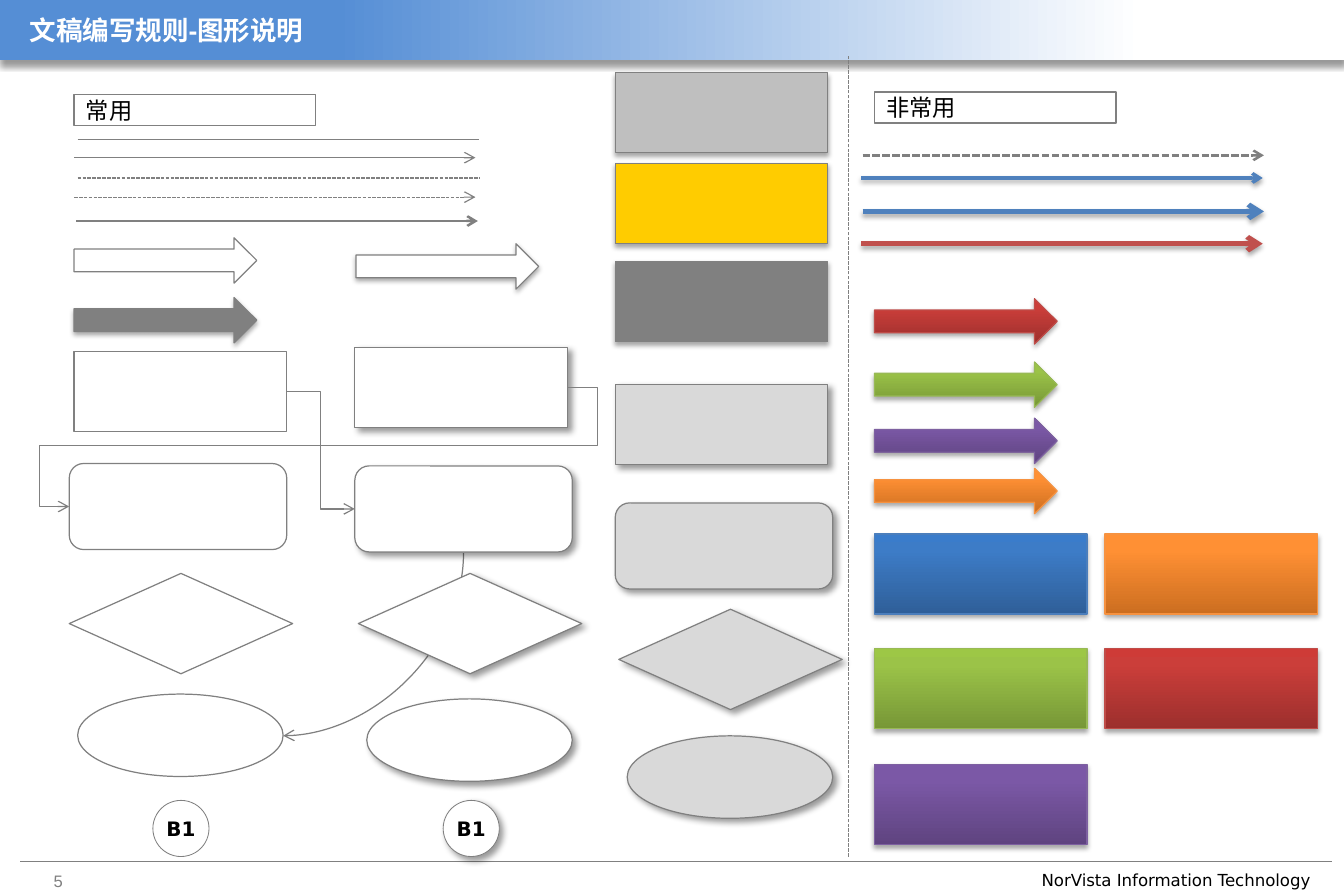
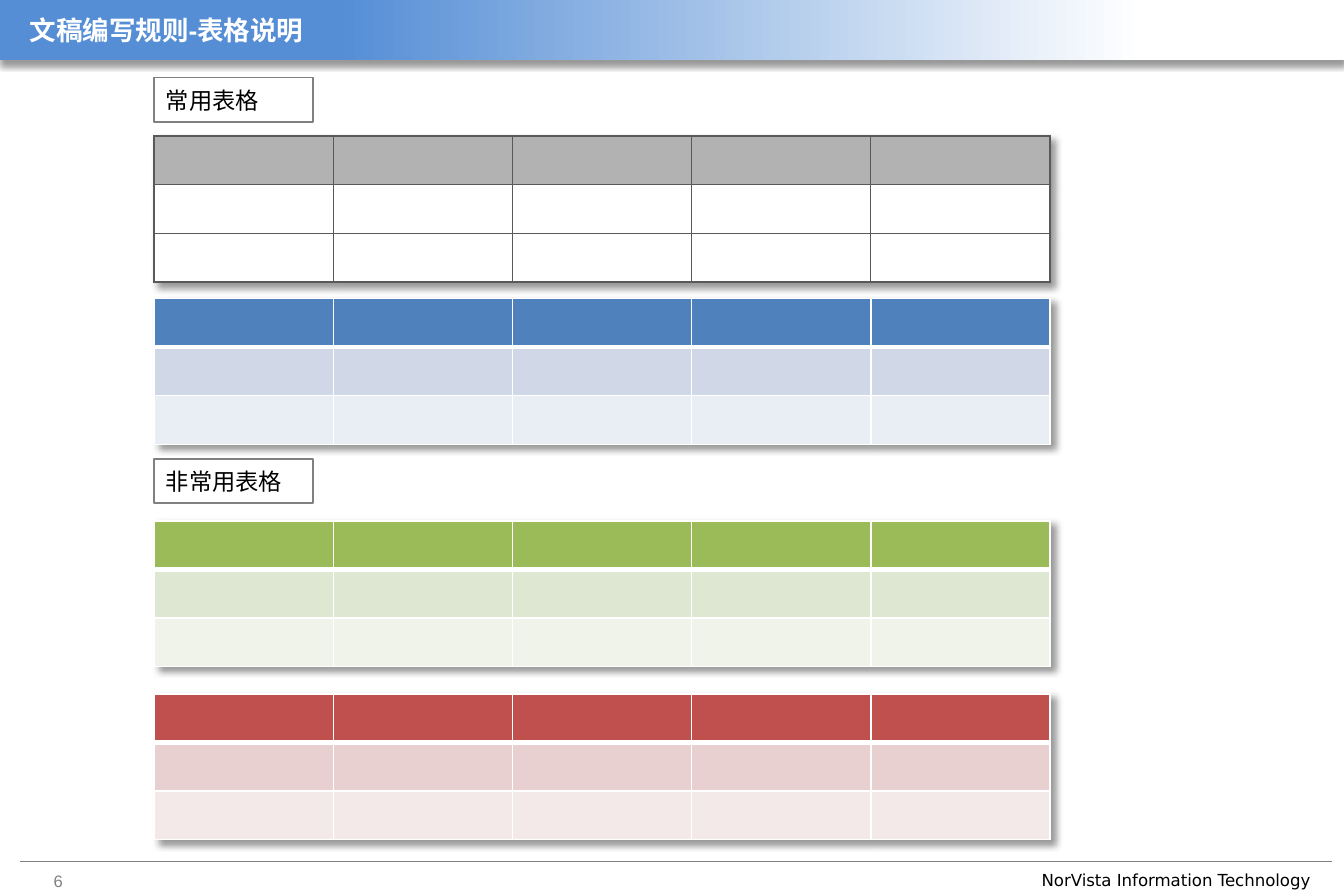
from lxml.etree import SubElement
from pptx import Presentation
from pptx.dml.color import RGBColor
from pptx.enum.shapes import MSO_CONNECTOR as Wire, MSO_SHAPE as Form
from pptx.enum.text import MSO_ANCHOR as Anchor, PP_ALIGN as Align
from pptx.oxml.ns import qn
from pptx.util import Inches, Pt

WIDE, HIGH = 11.25, 7.5
SANS, ARIAL = "DejaVu Sans", "Arial"
HUE = {"white": "FFFFFF", "black": "000000", "gray": "808080", "mid": "BFBFBF",
       "pale": "D9D9D9", "gold": "FFCC00", "blue": "4F81BD", "red": "C0504D",
       "green": "9BBB59", "head": "B2B2B2", "grid": "595959", "band": "558ED5"}
# dark, main and light gradient stops, then the outline
BLEND = {"red": ("9C2F2D", "CB3E3A", "CE3B37", "BF4C48"),
         "green": ("779737", "9BC348", "9DC746", "98B955"),
         "violet": ("5F4480", "7B58A6", "7C57A8", "7D60A0"),
         "orange": ("CC6E20", "FF9034", "FF9136", "F69240"),
         "blue": ("2F5F99", "3D7CC7", "3A7CCB", "4B7EBC")}
# opacity %, blur pt, distance pt, angle
SOFT, THIN = (35, 3.1, 1.8, 90), (38, 3.1, 1.6, 90)
DROP, UNDER = (40, 4, 3, 45), (40, 4, 3, 90)

FOOT = "NorVista Information Technology"
FORMS = {"box": (Form.RECTANGLE, 1.78, 0.67),
         "round": (Form.ROUNDED_RECTANGLE, 1.82, 0.72),
         "rhomb": (Form.DIAMOND, 1.87, 0.84),
         "oval": (Form.OVAL, 1.72, 0.69),
         "arrow": (Form.RIGHT_ARROW, 1.53, 0.38),
         "dot": (Form.OVAL, 0.47, 0.47)}

# left, top, colour, points, dashed, arrowhead, shadow
RULES = [(0.65, 1.17, "gray", 0.75, False, False, None),
         (0.62, 1.32, "gray", 0.75, False, True, None),
         (0.65, 1.49, "gray", 0.75, True, False, None),
         (0.62, 1.65, "gray", 0.75, True, True, None),
         (0.64, 1.85, "gray", 1.5, False, True, None),
         (7.22, 1.3, "gray", 1.5, True, True, None),
         (7.21, 1.49, "blue", 2, False, True, THIN),
         (7.22, 1.77, "blue", 3, False, True, SOFT),
         (7.21, 2.04, "red", 3, False, True, SOFT)]
RULE_W = 3.36
# form, left, top
PLAIN = [("arrow", 0.62, 1.99), ("box", 0.62, 2.94), ("round", 0.58, 3.88),
         ("rhomb", 0.58, 4.8), ("oval", 0.65, 5.81)]
RAISED = [("box", 2.97, 2.91), ("round", 2.97, 3.9), ("rhomb", 3, 4.8),
          ("oval", 3.07, 5.85)]
SHADED = [("box", 5.15, 3.22), ("round", 5.15, 4.21), ("rhomb", 5.18, 5.1),
          ("oval", 5.25, 6.16)]
# form, left, top, colour
SOLID = [("arrow", 2.98, 2.04, "white"), ("arrow", 0.62, 2.49, "gray"),
         ("box", 5.15, 0.61, "mid"), ("box", 5.15, 1.37, "gold"),
         ("box", 5.15, 2.19, "gray")]
GLOSS = [("arrow", 7.32, 2.5, "red"), ("arrow", 7.32, 3.03, "green"),
         ("arrow", 7.32, 3.5, "violet"), ("arrow", 7.32, 3.92, "orange"),
         ("box", 7.32, 4.47, "blue"), ("box", 9.25, 4.47, "orange"),
         ("box", 7.32, 5.43, "green"), ("box", 9.25, 5.43, "red"),
         ("box", 7.32, 6.4, "violet")]

COLS, ROWS = 5, 3
LEFT, TAB_W, TAB_H = 1.29, 7.5, 1.22
# top, row fills, border colour, weights of row edges, weights of column edges
FRAME = ((1.5, 0.75, 0.75, 1.5), (1.5, 0.75, 0.75, 0.75, 0.75, 1.5))
BANDED = ((1, 3, 1, 1), (1,) * (COLS + 1))
TABLES = [(1.14, (HUE["head"], HUE["white"], HUE["white"]), "grid", *FRAME),
          (2.5, (HUE["blue"], "D0D8E8", "E9EDF4"), "white", *BANDED),
          (4.36, (HUE["green"], "DEE7D1", "EFF3EA"), "white", *BANDED),
          (5.81, (HUE["red"], "E8D0D0", "F4E9E9"), "white", *BANDED)]


def rgb(code):
    return RGBColor.from_string(code)


def add(node, tag, **attrs):
    return SubElement(node, qn("a:" + tag), {k: str(v) for k, v in attrs.items()})


def shade(node, shadow):
    """Append an effect list, empty when there is no shadow."""
    fx = add(node, "effectLst")
    if shadow:
        alpha, blur, dist, angle = shadow
        drop = add(fx, "outerShdw", blurRad=Pt(blur), dist=Pt(dist),
                   dir=angle * 60000, algn="t", rotWithShape=0)
        add(add(drop, "srgbClr", val=HUE["black"]), "alpha", val=alpha * 1000)
    return fx


def blend(shape, stops, angle):
    props = shape._element.spPr
    grad = add(props, "gradFill", rotWithShape=1)
    stack = add(grad, "gsLst")
    for pos, code in stops:
        add(add(stack, "gs", pos=pos * 1000), "srgbClr", val=code)
    add(grad, "lin", ang=angle * 60000, scaled=0)
    props.find(qn("a:prstGeom")).addnext(grad)


def draw(slide, form, area, fill=None, edge=None, points=0.75, shadow=None):
    shape = slide.shapes.add_shape(form, *map(Inches, area))
    if fill:
        shape.fill.solid()
        shape.fill.fore_color.rgb = rgb(fill)
    if edge:
        shape.line.color.rgb = rgb(edge)
        shape.line.width = Pt(points)
    else:
        shape.line.fill.background()
    shade(shape._element.spPr, shadow)
    return shape


def place(slide, name, x, y, **look):
    form, w, h = FORMS[name]
    return draw(slide, form, (x, y, w, h), **look)


def write(shape, text, size, font, color="black", bold=False, align=Align.LEFT):
    para = shape.text_frame.paragraphs[0]
    para.text, para.alignment = text, align
    face = para.font
    face.size, face.name, face.bold = Pt(size), font, bold
    face.color.rgb = rgb(HUE[color])
    return para


def note(slide, area, *text):
    box = slide.shapes.add_textbox(*map(Inches, area))
    box.text_frame.word_wrap = False
    write(box, *text)


def wire(slide, ends, color="gray", points=0.75, dash=False, tip=False,
         shadow=None, kind=Wire.STRAIGHT):
    link = slide.shapes.add_connector(kind, *map(Inches, ends))
    link.line.color.rgb = rgb(HUE[color])
    link.line.width = Pt(points)
    props = link._element.spPr
    line = props.find(qn("a:ln"))
    if dash:
        add(line, "prstDash", val="sysDash")
    if tip:
        add(line, "tailEnd", type="arrow")
    shade(props, shadow)
    return link


def bend(link, preset, *shares):
    """Give a connector its preset route and the shares where it turns."""
    geom = link._element.spPr.find(qn("a:prstGeom"))
    geom.set("prst", preset)
    for old in list(geom):
        geom.remove(old)
    turns = add(geom, "avLst")
    for i, share in enumerate(shares, 1):
        add(turns, "gd", name=f"adj{i}", fmla=f"val {round(share * 100000)}")


def label(slide, text, *area):
    box = draw(slide, Form.RECTANGLE, area, HUE["white"], HUE["gray"], 1)
    box.text_frame.vertical_anchor = Anchor.MIDDLE
    write(box, text, 14, SANS)


def badge(slide, x, shadow=None):
    dot = place(slide, "dot", x, 6.7, fill=HUE["white"], edge=HUE["gray"],
                points=0.5, shadow=shadow)
    frame = dot.text_frame
    frame.word_wrap, frame.vertical_anchor = False, Anchor.MIDDLE
    frame.margin_left = frame.margin_right = Inches(0.05)
    frame.margin_top = frame.margin_bottom = Inches(0.05)
    write(dot, "B1", 12, SANS, "black", True, Align.CENTER)


def start(deck, title, page):
    """Add a slide with the shared band, title, rule and footer."""
    slide = deck.slides.add_slide(deck.slide_layouts[5])
    wire(slide, (0.17, 7.21, 11.15, 7.21), points=0.5)
    band = draw(slide, Form.RECTANGLE, (0, 0, WIDE, 0.5), shadow=UNDER)
    blend(band, [(15, HUE["white"]), (75, HUE["band"]), (100, HUE["band"])], 180)
    note(slide, (8.62, 7.23, 2.65, 0.27), FOOT, 10, SANS)
    note(slide, (0.35, 7.24, 0.63, 0.3), str(page), 10, ARIAL, "gray")
    head = slide.shapes.title
    head.left, head.top, head.width, head.height = map(
        Inches, (0.15, 0.1, 10.58, 0.42))
    head.text_frame.vertical_anchor = Anchor.TOP
    write(head, title, 16, ARIAL, "white", True).line_spacing = 0.9
    slide.shapes._spTree.append(head._element)
    return slide


def shapes_page(deck):
    slide = start(deck, "文稿编写规则-图形说明", 5)
    label(slide, "常用", 0.62, 0.79, 2.02, 0.26)
    label(slide, "非常用", 7.32, 0.77, 2.02, 0.26)
    for x, y, *look in RULES:
        wire(slide, (x, y, x + RULE_W, y), *look)
    wire(slide, (7.1, 7.17, 7.1, 0.47), dash=True)

    for name, x, y, color in SOLID:
        place(slide, name, x, y, fill=HUE[color], edge=HUE["gray"], shadow=SOFT)
    for name, x, y, color in GLOSS:
        *codes, edge = BLEND[color]
        shape = place(slide, name, x, y, edge=edge, shadow=SOFT)
        blend(shape, zip((0, 80, 100), codes), 270)

    def group(items, color, shadow=None):
        return {name: place(slide, name, x, y, fill=HUE[color],
                            edge=HUE["gray"], shadow=shadow)
                for name, x, y in items}

    plain = group(PLAIN, "white")
    curve = wire(slide, (2.36, 4.64, 3.89, 6.15), tip=True, kind=Wire.CURVE)
    bend(curve, "curvedConnector2")
    curve._element.spPr.find(qn("a:xfrm")).set("rot", str(90 * 60000))
    raised = group(RAISED, "white", DROP)
    group(SHADED, "pale", DROP)

    for tail, tip, preset, shares in (
            (plain, raised, "bentConnector3", (0.5,)),
            (raised, plain, "bentConnector5", (-0.06, 0.486, 1.06))):
        link = wire(slide, (0, 0, 1, 1), tip=True, kind=Wire.ELBOW)
        link.begin_connect(tail["box"], 3)
        link.end_connect(tip["round"], 1)
        bend(link, preset, *shares)
    badge(slide, 1.28)
    badge(slide, 3.71, DROP)


def grid(slide, top, fills, color, across, down):
    """Add an empty table; across and down weigh its row and column edges."""
    table = slide.shapes.add_table(
        ROWS, COLS, *map(Inches, (LEFT, top, TAB_W, TAB_H))).table
    table._tbl.tblPr.insert(0, shade(table._tbl.tblPr, DROP))
    for r, fill in enumerate(fills):
        for c in range(COLS):
            cell = table.cell(r, c)
            props = cell._tc.get_or_add_tcPr()
            for side, points in zip("LRTB", (*down[c:c + 2], *across[r:r + 2])):
                line = add(props, "ln" + side, w=Pt(points))
                add(add(line, "solidFill"), "srgbClr", val=HUE[color])
            cell.fill.solid()
            cell.fill.fore_color.rgb = rgb(fill)


def tables_page(deck):
    slide = start(deck, "文稿编写规则-表格说明", 6)
    for spread in TABLES:
        grid(slide, *spread)
    label(slide, "常用表格", LEFT, 0.65, 1.33, 0.37)
    label(slide, "非常用表格", LEFT, 3.84, 1.33, 0.37)


def main():
    deck = Presentation()
    deck.slide_width, deck.slide_height = Inches(WIDE), Inches(HIGH)
    shapes_page(deck)
    tables_page(deck)
    deck.save("out.pptx")


if __name__ == "__main__":
    main()
